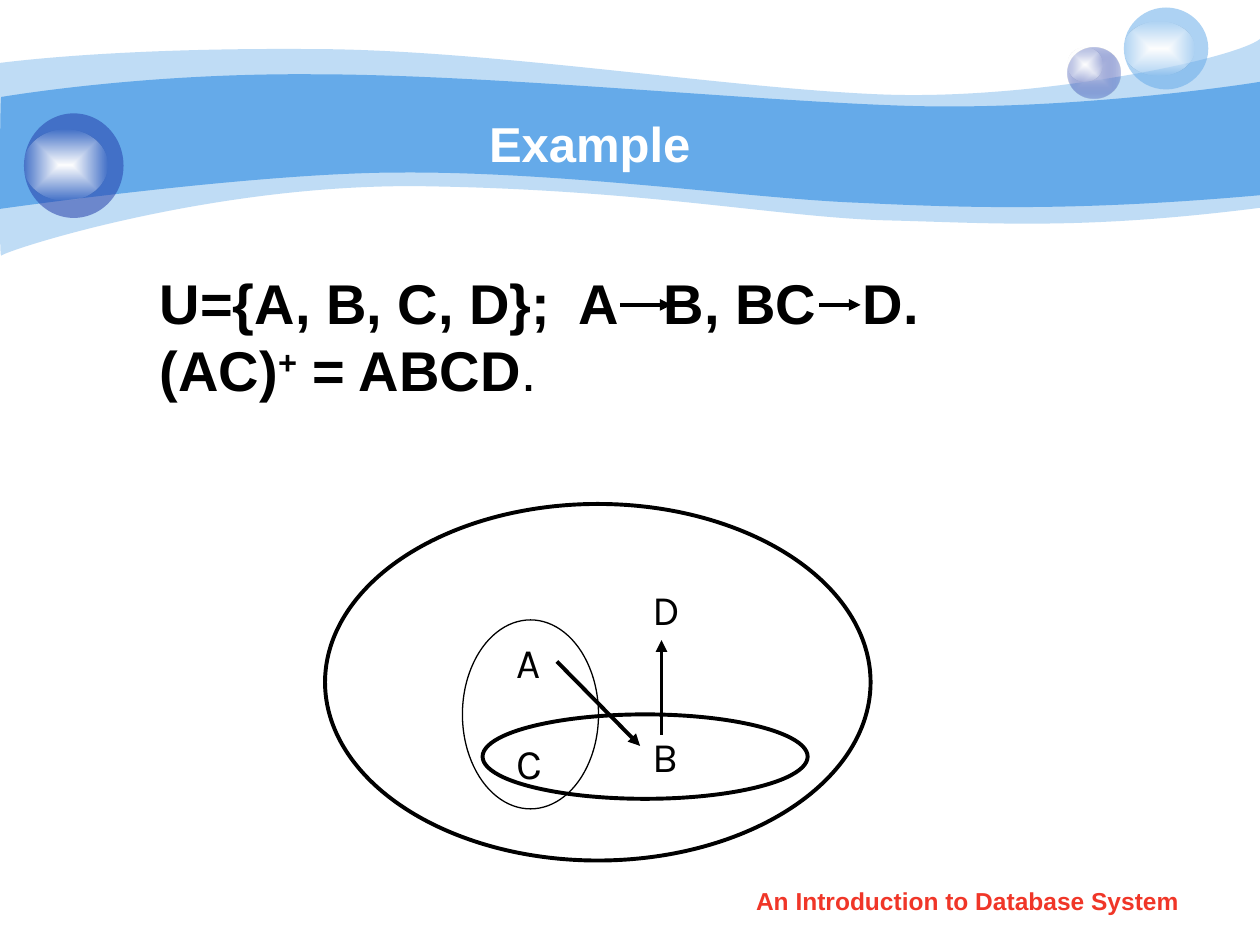
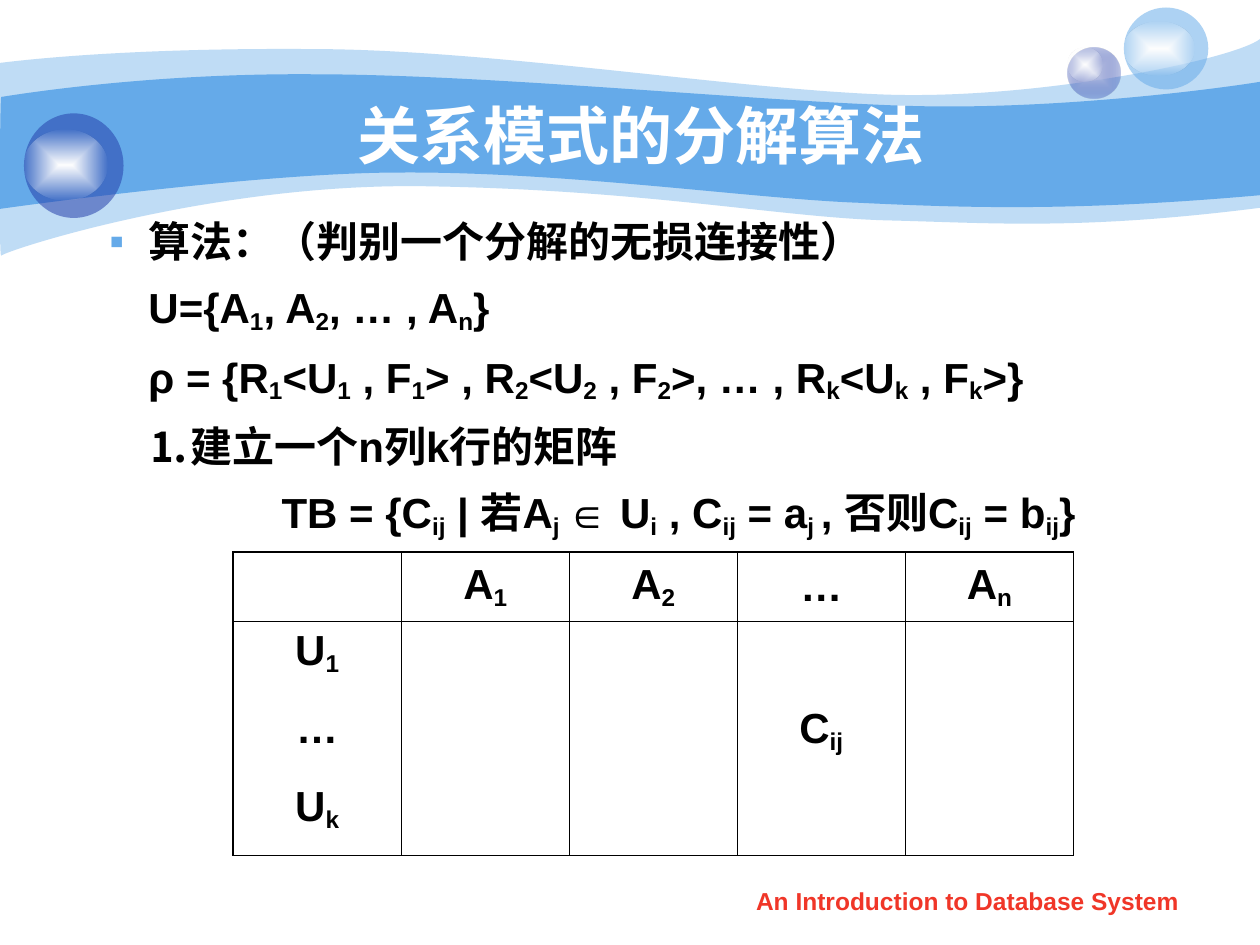
from dataclasses import dataclass
from typing import NamedTuple

from lxml import etree
from pptx import Presentation
from pptx import util as u
from pptx.dml.color import RGBColor
from pptx.enum import shapes, text
from pptx.oxml import parse_xml
from pptx.oxml.ns import nsdecls, qn

SKY, NAVY, WHITE, BLACK, RED = "65AAE9", "233DA9", "FFFFFF", "000000", "F03628"
FONT, LABEL_FONT = "Arial", "Karla"
LEFT, CENTER = text.PP_ALIGN.LEFT, text.PP_ALIGN.CENTER
TOP, MIDDLE, BOTTOM = (text.MSO_ANCHOR.TOP, text.MSO_ANCHOR.MIDDLE,
                       text.MSO_ANCHOR.BOTTOM)
SUBSCRIPT, SUPERSCRIPT = -16, 30
THICK, OUTER, INNER = 2.25, 1.08, 0.45


class Area(NamedTuple):
    left: float
    top: float
    width: float
    height: float


class Stop(NamedTuple):
    color: str
    opacity: int


class Band(NamedTuple):
    start: tuple
    curves: list
    opacity: int


class Sphere(NamedTuple):
    body: Area
    glow: Area
    fill: tuple


class Arrow(NamedTuple):
    start: tuple
    end: tuple


@dataclass
class Style:
    size: float
    color: str = BLACK
    bold: bool = True
    font: str = FONT
    align: int = LEFT


BANDS = [
    Band((0, 0.5), [
        [(0.24, 0.47), (1.07, 0.38), (2.47, 0.39)],
        [(3.86, 0.39), (5.75, 0.7), (6.99, 0.75)],
        [(8.22, 0.8), (9.8, 0.47), (10, 0.31)],
        [(10, 1.65)],
        [(8.58, 1.83), (7.87, 1.77), (7.05, 1.75)],
        [(6.22, 1.73), (5.15, 1.51), (3.43, 1.48)],
        [(1.72, 1.44), (0.04, 1.99), (0.01, 2.03)],
        [(-0.01, 2.08), (0, 0.75), (0, 0.5)]], 41),
    Band((0.01, 0.77), [
        [(0.02, 0.77), (1.1, 0.58), (2.48, 0.59)],
        [(3.86, 0.59), (5.95, 0.8), (7.18, 0.84)],
        [(8.41, 0.88), (9.76, 0.69), (10, 0.65)],
        [(10, 1.55)],
        [(8.53, 1.68), (7.65, 1.65), (6.82, 1.61)],
        [(5.99, 1.58), (4.47, 1.36), (3.17, 1.37)],
        [(2.03, 1.37), (-0.02, 1.66), (-0.01, 1.66)],
        [(0, 1.66), (0, 0.77), (0.01, 0.77)]], 100),
]
GLOW = (Stop(WHITE, 100), Stop("FEFEFE", 0))
SPHERES = [
    Sphere(Area(8.47, 0.38, 0.42, 0.4), Area(8.47, 0.38, 0.28, 0.27),
           (Stop("C6CCE8", 100), Stop(NAVY, 31))),
    Sphere(Area(8.92, 0.06, 0.67, 0.65), Area(8.92, 0.17, 0.56, 0.43),
           (Stop(SKY, 53),)),
    Sphere(Area(0.19, 0.9, 0.79, 0.83), Area(0.19, 1.03, 0.66, 0.56),
           (Stop(NAVY, 53),)),
]


def rgb(color: str) -> RGBColor:
    return RGBColor.from_string(color)


def inches(lengths: tuple) -> list:
    return [u.Inches(length) for length in lengths]


def paint(shape, stops: tuple) -> None:
    """Fill with one colour, or with a gradient from the centre outwards."""
    shape.shadow.inherit = False
    if len(stops) == 1:
        shape.fill.solid()
        shape.fill.fore_color.rgb = rgb(stops[0].color)
        if stops[0].opacity < 100:
            tint = shape.element.spPr.find(".//" + qn("a:srgbClr"))
            etree.SubElement(tint, qn("a:alpha"), val=str(stops[0].opacity * 1000))
    else:
        marks = "".join(
            f'<a:gs pos="{position}"><a:srgbClr val="{stop.color}">'
            f'<a:alpha val="{stop.opacity * 1000}"/></a:srgbClr></a:gs>'
            for position, stop in zip((0, 100000), stops))
        shape.element.spPr.insert(2, parse_xml(
            f'<a:gradFill {nsdecls("a")}><a:gsLst>{marks}</a:gsLst>'
            '<a:path path="rect"><a:fillToRect l="50000" t="50000" r="50000" '
            'b="50000"/></a:path></a:gradFill>'))
    shape.line.fill.background()


def add_band(page, band: Band) -> None:
    """Draw a closed outline; each group of three points becomes a cubic curve."""
    builder = page.shapes.build_freeform(*inches(band.start))
    builder.add_line_segments(
        [inches(point) for curve in band.curves for point in curve], close=True)
    shape = builder.convert_to_shape()
    segments = iter(shape.element.spPr.findall(".//" + qn("a:lnTo")))
    for curve in band.curves:
        first, *others = [next(segments) for _ in curve]
        if others:
            first.tag = qn("a:cubicBezTo")
            for segment in others:
                first.append(segment[0])
                segment.getparent().remove(segment)
    paint(shape, (Stop(SKY, band.opacity),))


def add_ellipse(page, area: Area):
    return page.shapes.add_shape(shapes.MSO_SHAPE.OVAL, *inches(area))


def add_ring(page, area: Area, weight: float) -> None:
    ring = add_ellipse(page, area)
    ring.shadow.inherit = False
    ring.fill.background()
    ring.line.color.rgb = rgb(BLACK)
    ring.line.width = u.Pt(weight)


def add_arrow(page, arrow: Arrow) -> None:
    line = page.shapes.add_connector(shapes.MSO_CONNECTOR.STRAIGHT,
                                     *inches(arrow.start + arrow.end))
    line.line.color.rgb = rgb(BLACK)
    line.line.width = u.Pt(THICK)
    properties = line.element.spPr
    etree.SubElement(properties.find(qn("a:ln")), qn("a:tailEnd"), type="triangle")
    etree.SubElement(properties, qn("a:effectLst"))


def write(para, content: str, style: Style, shift: int = SUBSCRIPT) -> None:
    """Write content; parts between ~ marks are shifted off the baseline."""
    para.alignment = style.align
    font = para.font
    font.name, font.size, font.bold = style.font, u.Pt(style.size), style.bold
    font.color.rgb = rgb(style.color)
    for i, part in enumerate(content.split("~")):
        if part:
            span = para.add_run()
            span.text = part
            if i % 2:
                span.font._element.set("baseline", str(shift * 1000))


def add_frame(page, area: Area, anchor=TOP):
    frame = page.shapes.add_textbox(*inches(area)).text_frame
    frame.word_wrap = True
    frame.vertical_anchor = anchor
    return frame


def add_text(page, area: Area, content: str, style: Style, anchor=TOP):
    frame = add_frame(page, area, anchor)
    write(frame.paragraphs[0], content, style)
    return frame


def add_page(deck, title: str, area: Area, size: float, anchor):
    """Add a page with the shared bands, spheres, title and footer."""
    page = deck.slides.add_slide(deck.slide_layouts[6])
    for band in BANDS:
        add_band(page, band)
    for sphere in SPHERES:
        paint(add_ellipse(page, sphere.body), sphere.fill)
        paint(add_ellipse(page, sphere.glow), GLOW)
    add_text(page, area, title, Style(size, WHITE, align=CENTER), anchor)
    add_text(page, Area(5.71, 6.98, 3.94, 0.35),
             "An Introduction to Database System", Style(14, RED, align=CENTER))
    return page


def indent(para, margin: float, first: float) -> None:
    properties = para._p.get_or_add_pPr()
    properties.set("marL", str(u.Inches(margin)))
    properties.set("indent", str(u.Inches(first)))


def add_tabs(para, stops: tuple) -> None:
    tabs = etree.SubElement(para._p.get_or_add_pPr(), qn("a:tabLst"))
    for stop in stops:
        etree.SubElement(tabs, qn("a:tab"), pos=str(u.Inches(stop)), algn="l")


def add_bullet(para, sign: str) -> None:
    properties = para._p.get_or_add_pPr()
    color = etree.SubElement(properties, qn("a:buClr"))
    etree.SubElement(color, qn("a:srgbClr"), val=SKY)
    etree.SubElement(properties, qn("a:buFont"), typeface=FONT)
    etree.SubElement(properties, qn("a:buChar"), char=sign)


def set_borders(cell, weights: dict) -> None:
    """Draw the cell's sides; a weight of zero leaves a side open."""
    for side in "LRTB":
        line = etree.SubElement(cell._tc.get_or_add_tcPr(), qn(f"a:ln{side}"),
                                w=str(u.Pt(weights[side])))
        if weights[side]:
            fill = etree.SubElement(line, qn("a:solidFill"))
            etree.SubElement(fill, qn("a:srgbClr"), val=BLACK)
        else:
            etree.SubElement(line, qn("a:noFill"))


def build_example(deck) -> None:
    page = add_page(deck, "Example", Area(0.42, 0.5, 8.52, 0.92), 28, BOTTOM)
    label = Style(24, bold=False, font=LABEL_FONT)
    add_ring(page, Area(2.58, 4, 4.33, 2.83), THICK)
    left_set = add_text(page, Area(4, 5, 0.42, 1.3), "A", label)
    lower = left_set.add_paragraph()
    lower.space_before = u.Pt(29)
    write(lower, "C", label)
    add_text(page, Area(5.08, 4.58, 0.44, 0.5), "D", label)
    add_text(page, Area(5.08, 5.75, 0.41, 0.5), "B", label)
    add_arrow(page, Arrow((4.42, 5.25), (5.08, 5.92)))
    add_arrow(page, Arrow((5.25, 5.83), (5.25, 5.08)))
    add_ring(page, Area(3.67, 4.92, 1.08, 1.5), 0.75)

    style = Style(32)
    frame = add_frame(page, Area(1.17, 2.08, 8.33, 1.17), MIDDLE)
    given = frame.paragraphs[0]
    add_tabs(given, (3.32, 4, 5.58))
    write(given, "U={A, B, C, D};\tA\tB, BC\tD.", style)
    closure = frame.add_paragraph()
    write(closure, "(AC)~+~ = ABCD", style, SUPERSCRIPT)
    period = closure.add_run()
    period.text, period.font.bold = ".", False
    add_arrow(page, Arrow((4.92, 2.42), (5.33, 2.42)))
    add_arrow(page, Arrow((6.5, 2.42), (6.83, 2.42)))
    add_ring(page, Area(3.83, 5.67, 2.58, 0.67), THICK)


def add_matrix(page) -> None:
    rows = [["", "A~1~", "A~2~", "…", "A~n~"],
            ["U~1~", "", "", "", ""],
            ["…", "", "", "C~ij~", ""],
            ["U~k~", "", "", "", ""]]
    last_column = len(rows[0]) - 1
    table = page.shapes.add_table(len(rows), len(rows[0]),
                                  *inches(Area(1.85, 4.38, 6.67, 2.42))).table
    table.first_row = table.horz_banding = False
    for r, row in enumerate(rows):
        table.rows[r].height = u.Inches(0.62 if r else 0.55)
        for c, content in enumerate(row):
            cell = table.cell(r, c)
            set_borders(cell, {
                "L": INNER if c else OUTER,
                "R": OUTER if c == last_column else INNER,
                "T": (OUTER, INNER, 0, 0)[r],
                "B": (INNER, 0, 0, OUTER)[r]})
            cell.fill.background()
            cell.vertical_anchor = TOP if r else MIDDLE
            write(cell.text_frame.paragraphs[0], content, Style(24, align=CENTER))


def build_algorithm(deck) -> None:
    page = add_page(deck, "关系模式的分解算法", Area(0.83, 0.44, 8.52, 1.25), 36, MIDDLE)
    lines = ["算法：（判别一个分解的无损连接性）",
             "U={A~1~, A~2~, … , A~n~}",
             "ρ = {R~1~<U~1~ , F~1~> , R~2~<U~2~ , F~2~>, … , R~k~<U~k~ , F~k~>}",
             "⒈建立一个n列k行的矩阵",
             "TB = {C~ij~ | 若A~j ~∈ U~i~ , C~ij~ = a~j ~, 否则C~ij~ = b~ij~}"]
    frame = add_frame(page, Area(0.27, 1.62, 9.73, 5.52))
    for i, content in enumerate(lines):
        para = frame.add_paragraph() if i else frame.paragraphs[0]
        formula = i == len(lines) - 1
        indent(para, 0.81, -0.31 if i == 0 or formula else 0)
        para.line_spacing = 1.1
        if i:
            para.space_before = u.Pt(6)
        else:
            add_bullet(para, "▪")
        write(para, content, Style(24, align=CENTER if formula else LEFT))
    add_matrix(page)


def main() -> None:
    deck = Presentation()
    deck.slide_width, deck.slide_height = inches((10, 7.5))
    build_example(deck)
    build_algorithm(deck)
    deck.save("out.pptx")


if __name__ == "__main__":
    main()
